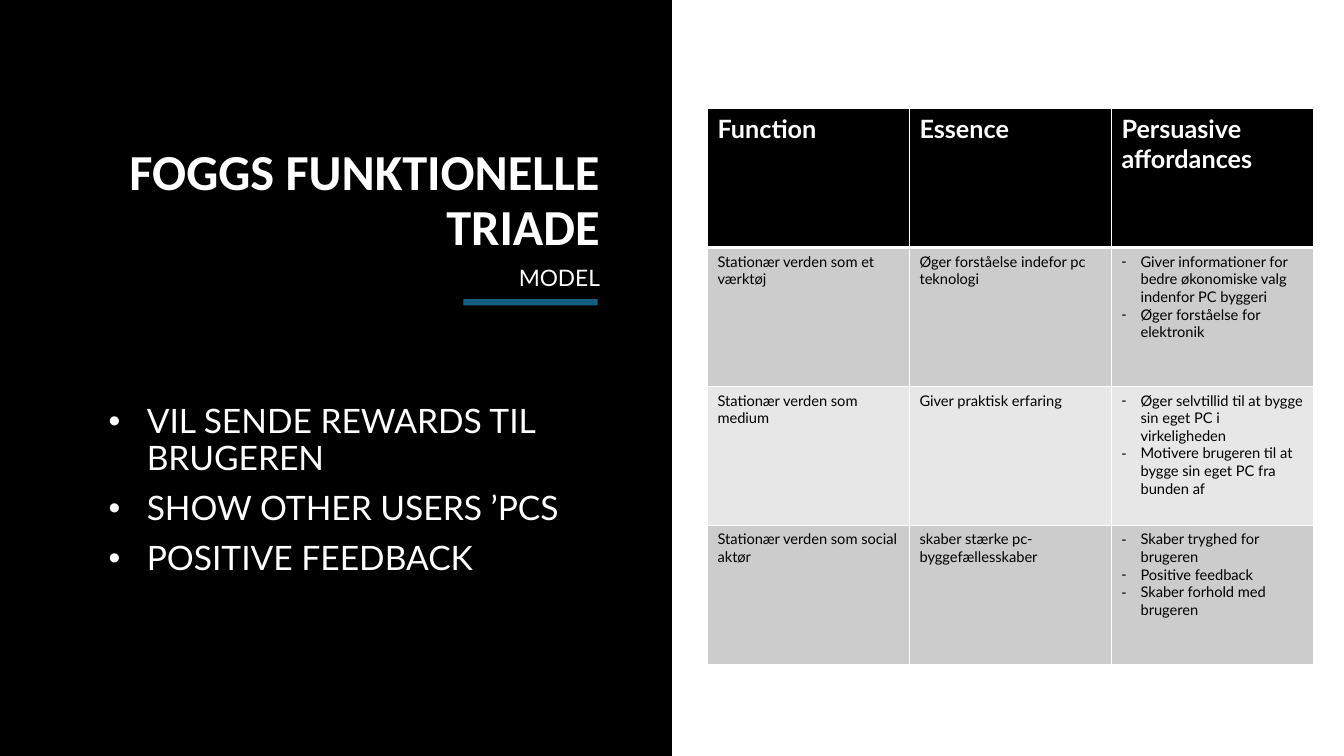
from lxml.etree import SubElement
from pptx import Presentation
from pptx.dml.color import RGBColor
from pptx.enum.shapes import MSO_SHAPE as Shape
from pptx.enum.text import MSO_ANCHOR as Anchor, PP_ALIGN as Align
from pptx.oxml import parse_xml
from pptx.oxml.ns import nsdecls, qn
from pptx.util import Cm, Pt

TITLE = "FOGGS FUNKTIONELLE TRIADE"
SUBTITLE = "MODEL"
POINTS = ["VIL SENDE REWARDS TIL BRUGEREN", "SHOW OTHER USERS ’PCS", "POSITIVE FEEDBACK"]
HEADERS = ["Function", "Essence", "Persuasive affordances"]
# The last entry of each row is a list of dashed points
ROWS = [
    ("Stationær verden som et værktøj", "Øger forståelse indefor pc teknologi",
     ["Giver informationer for bedre økonomiske valg indenfor PC byggeri",
      "Øger forståelse for elektronik"]),
    ("Stationær verden som medium", "Giver praktisk erfaring",
     ["Øger selvtillid til at bygge sin eget PC i virkeligheden",
      "Motivere brugeren til at bygge sin eget PC fra bunden af"]),
    ("Stationær verden som social aktør", "skaber stærke pc-byggefællesskaber",
     ["Skaber tryghed for brugeren", "Positive feedback", "Skaber forhold med brugeren"]),
]
COLORS = {"black": "000000", "white": "FFFFFF", "accent": "156082",
          "odd_row": "CCCCCC", "even_row": "E7E7E7"}

SLIDE_WIDTH, SLIDE_HEIGHT = Cm(33.87), Cm(19.05)
TABLE_LEFT, TABLE_TOP = Cm(17.83), Cm(2.74)
COLUMN_WIDTH, ROW_HEIGHT = Cm(5.09), Cm(3.5)


def rgb(name):
    return RGBColor.from_string(COLORS[name])


def add_block(slide, left, top, width, height, color):
    block = slide.shapes.add_shape(Shape.RECTANGLE, left, top, width, height)
    block.shadow.inherit = False
    block.fill.solid()
    block.fill.fore_color.rgb = rgb(color)
    block.line.fill.background()


def set_bullet(paragraph, character, indent):
    properties = paragraph._p.get_or_add_pPr()
    properties.set("marL", str(indent))
    properties.set("indent", str(-indent))
    SubElement(properties, qn("a:buFont")).set("typeface", "Arial")
    SubElement(properties, qn("a:buChar")).set("char", character)


def write(frame, lines, size, color, font="Lato", bold=False, align=Align.LEFT,
          spacing=None, before=None, bullet=None):
    """Fill a text frame, one paragraph a line; bullet is (character, indent)."""
    frame.word_wrap = True
    for index, line in enumerate(lines):
        paragraph = frame.add_paragraph() if index else frame.paragraphs[0]
        paragraph.text = line
        paragraph.alignment = align
        paragraph.line_spacing = spacing
        paragraph.space_before = before
        if bullet:
            set_bullet(paragraph, *bullet)
        paragraph.font.name = font
        paragraph.font.size = Pt(size)
        paragraph.font.bold = bold
        paragraph.font.color.rgb = rgb(color)


def add_text(slide, left, top, width, height, lines, anchor, **style):
    frame = slide.shapes.add_textbox(left, top, width, height).text_frame
    frame.vertical_anchor = anchor
    write(frame, lines, color="white", spacing=0.9, **style)


def set_borders(cell, top, bottom):
    """Draw white borders; top and bottom are widths in points."""
    properties = cell._tc.get_or_add_tcPr()
    widths = {"lnL": 1, "lnR": 1, "lnT": top, "lnB": bottom}
    for position, (side, width) in enumerate(widths.items()):
        properties.insert(position, parse_xml(
            f'<a:{side} {nsdecls("a")} w="{Pt(width)}"><a:solidFill>'
            f'<a:srgbClr val="{COLORS["white"]}"/></a:solidFill></a:{side}>'))


def add_triad_table(slide):
    rows = [HEADERS] + ROWS
    table = slide.shapes.add_table(
        len(rows), len(HEADERS), TABLE_LEFT, TABLE_TOP,
        COLUMN_WIDTH * len(HEADERS), ROW_HEIGHT * len(rows)).table
    table.horz_banding = False
    for column in table.columns:
        column.width = COLUMN_WIDTH
    for row_index, row in enumerate(rows):
        table.rows[row_index].height = ROW_HEIGHT
        is_header = row_index == 0
        fill = "black" if is_header else "odd_row" if row_index % 2 else "even_row"
        for column_index, content in enumerate(row):
            cell = table.cell(row_index, column_index)
            cell.fill.solid()
            cell.fill.fore_color.rgb = rgb(fill)
            set_borders(cell, top=3 if row_index == 1 else 1, bottom=3 if is_header else 1)
            if is_header:
                write(cell.text_frame, [content], 18, "white", bold=True)
            elif isinstance(content, list):
                write(cell.text_frame, content, 10.5, "black", bullet=("-", Cm(0.48)))
            else:
                write(cell.text_frame, [content], 10.5, "black")


def main():
    presentation = Presentation()
    presentation.slide_width, presentation.slide_height = SLIDE_WIDTH, SLIDE_HEIGHT
    slide = presentation.slides.add_slide(presentation.slide_layouts[6])

    add_block(slide, 0, 0, SLIDE_WIDTH // 2, SLIDE_HEIGHT, "black")
    add_text(slide, Cm(3.48), Cm(6.58), Cm(11.89), Cm(0.89), [SUBTITLE],
             Anchor.BOTTOM, size=16.2, align=Align.RIGHT)
    add_text(slide, Cm(0.74), Cm(3.5), Cm(14.63), Cm(3.08), [TITLE],
             Anchor.BOTTOM, size=36, font="Calibri", bold=True, align=Align.RIGHT)
    add_block(slide, Cm(11.68), Cm(7.54), Cm(3.38), Cm(0.16), "accent")
    add_text(slide, Cm(2.49), Cm(10.08), Cm(12.88), Cm(7.26), POINTS,
             Anchor.TOP, size=24, before=Pt(10), bullet=("•", Cm(0.96)))
    add_triad_table(slide)
    presentation.save("out.pptx")


if __name__ == "__main__":
    main()
